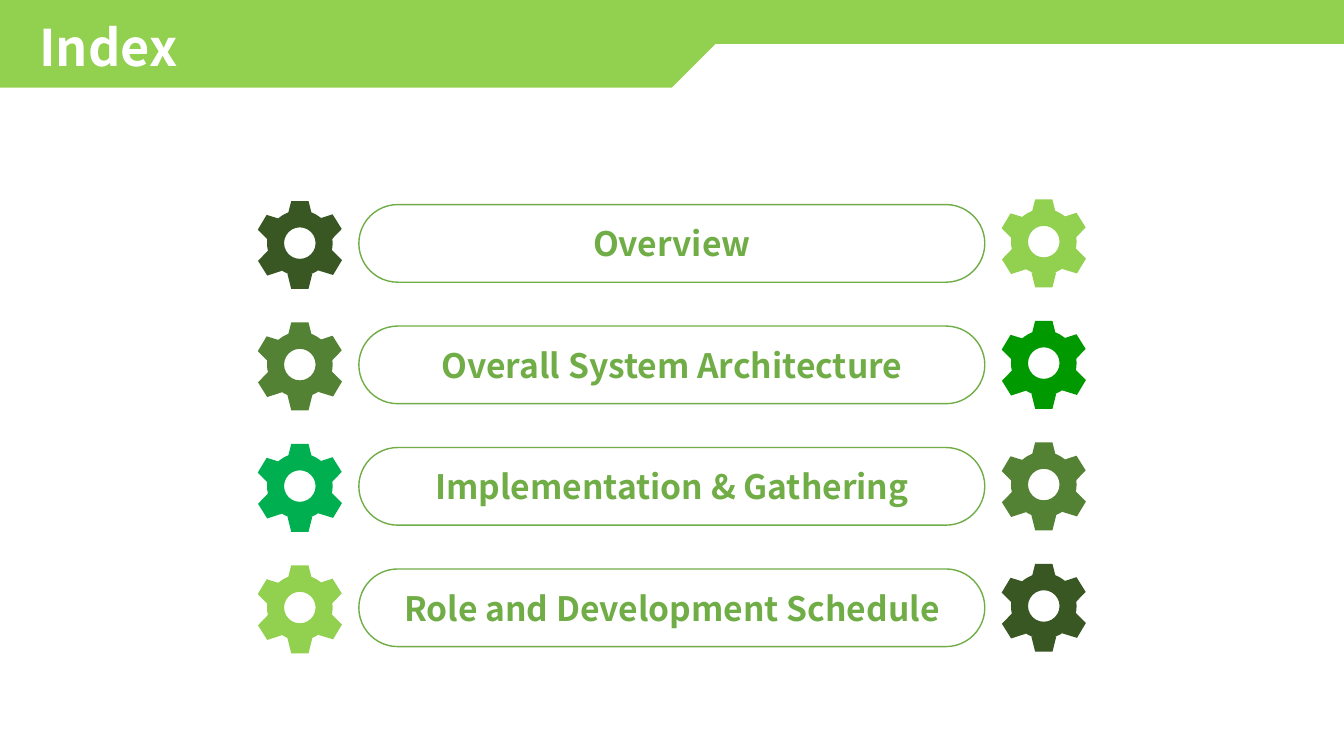
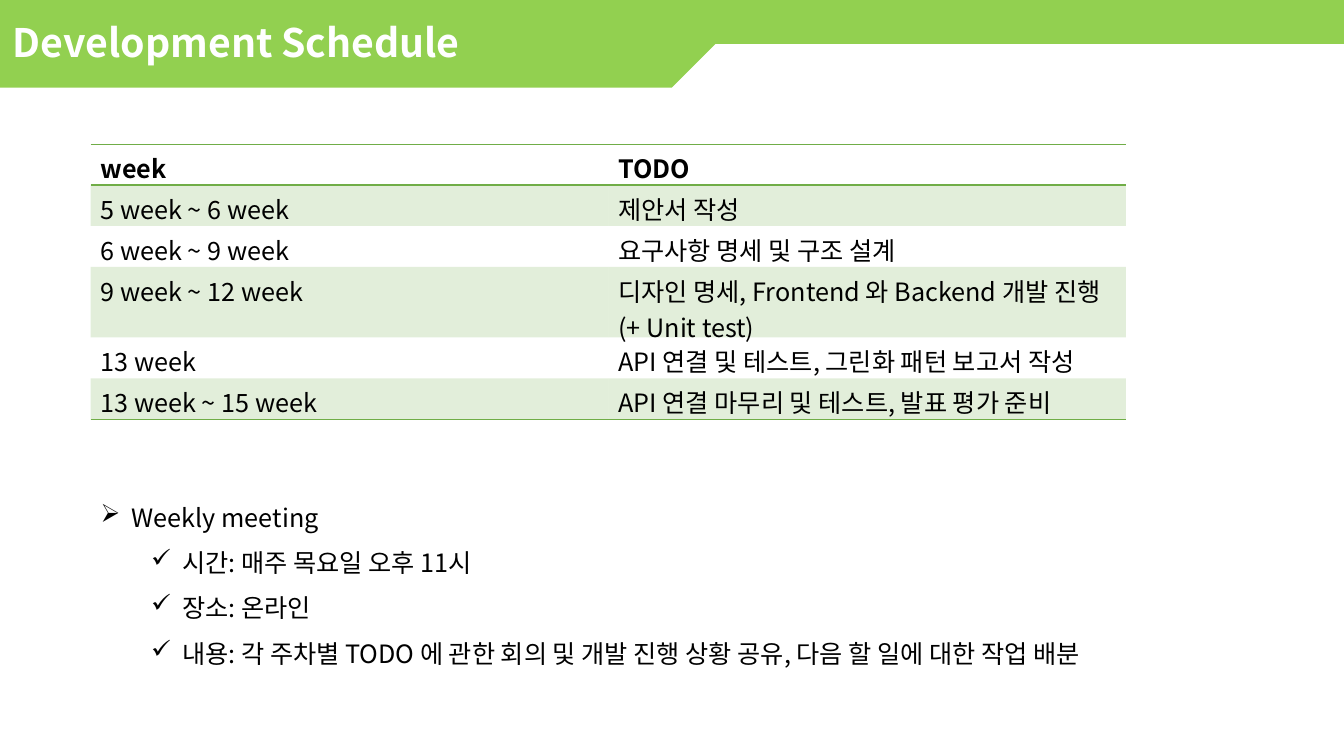
import math
from dataclasses import dataclass

import pptx
import pptx.dml.color
import pptx.enum.shapes
import pptx.enum.text
import pptx.oxml
import pptx.oxml.ns
import pptx.util

SHAPE = pptx.enum.shapes.MSO_SHAPE
ALIGN = pptx.enum.text.PP_ALIGN
ANCHOR = pptx.enum.text.MSO_ANCHOR
COLUMNS, ROWS = 133.33, 75


@dataclass(frozen=True)
class Theme:
    """Colours, font and type sizes shared by the slides."""
    font: str = "Noto Sans CJK KR"
    band: str = "92D050"
    accent: str = "70AD47"
    forest: str = "385723"
    moss: str = "548235"
    leaf: str = "009900"
    emerald: str = "00B050"
    white: str = "FFFFFF"
    ink: str = "000000"
    index_title: int = 36
    title: int = 28
    entry: int = 24
    body: int = 18


THEME = Theme()

CHAPTERS = [
    ("Overview", THEME.forest, THEME.band),
    ("Overall System Architecture", THEME.moss, THEME.leaf),
    ("Implementation & Gathering", THEME.emerald, THEME.moss),
    ("Role and Development Schedule", THEME.band, THEME.forest),
]

SCHEDULE = [
    ("week", "TODO"),
    ("5 week ~ 6 week", "제안서 작성"),
    ("6 week ~ 9 week", "요구사항 명세 및 구조 설계"),
    ("9 week ~ 12 week", "디자인 명세, Frontend 와 Backend 개발 진행 (+ Unit test)"),
    ("13 week", "API 연결 및 테스트, 그린화 패턴 보고서 작성"),
    ("13 week ~ 15 week", "API 연결 마무리 및 테스트, 발표 평가 준비"),
]

MEETING = [
    (0, "Weekly meeting"),
    (1, "시간: 매주 목요일 오후 11시"),
    (1, "장소: 온라인"),
    (1, "내용: 각 주차별 TODO 에 관한 회의 및 개발 진행 상황 공유, 다음 할 일에 대한 작업 배분"),
]


def grid(count):
    """Turn grid columns or rows into a length."""
    return pptx.util.Inches(count / 10)


@dataclass(frozen=True)
class Box:
    """A region measured in grid columns and rows."""
    left: float
    top: float
    width: float
    height: float

    def within(self, left, top, width, height):
        """Return a box placed relative to this one."""
        return Box(self.left + left, self.top + top, width, height)

    def lengths(self):
        """Return left, top, width and height as lengths."""
        return [grid(side) for side in (self.left, self.top, self.width, self.height)]


def rgb(colour):
    """Return a colour object for a hex string."""
    return pptx.dml.color.RGBColor.from_string(colour)


def style_text(paragraph, size, colour, bold=False):
    """Apply the theme font, a size and a colour to the runs."""
    for run in paragraph.runs:
        run.font.size = pptx.util.Pt(size)
        run.font.bold = bold
        run.font.color.rgb = rgb(colour)
        run.font.name = THEME.font
        east_asian = pptx.oxml.parse_xml(
            f'<a:ea {pptx.oxml.ns.nsdecls("a")} typeface="{THEME.font}"/>')
        run.font._element.append(east_asian)


def add_filled(shapes, preset, box, colour, outline=None):
    """Add a flat preset shape with an optional outline."""
    shape = shapes.add_shape(preset, *box.lengths())
    shape.shadow.inherit = False
    shape.fill.solid()
    shape.fill.fore_color.rgb = rgb(colour)
    if outline:
        shape.line.color.rgb = rgb(outline)
        shape.line.width = pptx.util.Pt(1)
    else:
        shape.line.fill.background()
    return shape


def add_text_frame(slide, box):
    """Add a wrapping text box that grows with its text."""
    frame = slide.shapes.add_textbox(*box.lengths()).text_frame
    frame.word_wrap = True
    frame.auto_size = pptx.enum.text.MSO_AUTO_SIZE.SHAPE_TO_FIT_TEXT
    return frame


def add_header(slide, title, title_box, size):
    """Draw the stepped green band and its title."""
    tab = add_filled(slide.shapes, SHAPE.SNIP_1_RECTANGLE, Box(0, 0, 71, 8.7), THEME.band)
    tab.adjustments[0] = 0.5
    tab._element.spPr.xfrm.set("flipV", "1")
    add_filled(slide.shapes, SHAPE.RECTANGLE, Box(56.8, 0, COLUMNS - 56.8, 4.35), THEME.band)
    frame = add_text_frame(slide, title_box)
    frame.text = title
    style_text(frame.paragraphs[0], size, THEME.white, bold=True)


def add_gear(shapes, box, colour):
    """Draw a six-toothed gear centred in a box."""
    size = box.height
    centre_x, centre_y = box.width / 2, size / 2
    radius, tooth_width, tooth_height = 0.41 * size, 0.28 * size, 0.17 * size
    for angle in (0, 58, 121, 180, 238, 301):
        x = centre_x + radius * math.sin(math.radians(angle))
        y = centre_y - radius * math.cos(math.radians(angle))
        tooth = add_filled(
            shapes, SHAPE.TRAPEZOID,
            box.within(x - tooth_width / 2, y - tooth_height / 2, tooth_width, tooth_height),
            colour)
        tooth.rotation = angle
    hub = 0.74 * size
    ring = add_filled(
        shapes, SHAPE.DONUT,
        box.within(centre_x - hub / 2, centre_y - hub / 2 - 0.02 * size, hub, hub), colour)
    ring.adjustments[0] = 0.26


def add_chapter(slide, box, chapter, left_colour, right_colour):
    """Draw one index entry between two gears."""
    shapes = slide.shapes.add_group_shape().shapes
    gear_width = 8.6
    add_gear(shapes, box.within(0, 0, gear_width, box.height), left_colour)
    add_gear(shapes, box.within(box.width - gear_width, -0.15, gear_width, box.height),
             right_colour)
    pill = add_filled(shapes, SHAPE.ROUNDED_RECTANGLE, box.within(10.15, 0.4, 62.1, 7.7),
                      THEME.white, THEME.accent)
    pill.adjustments[0] = 0.5
    pill.text_frame.text = chapter
    pill.text_frame.vertical_anchor = ANCHOR.MIDDLE
    label = pill.text_frame.paragraphs[0]
    label.alignment = ALIGN.CENTER
    style_text(label, THEME.entry, THEME.accent, bold=True)


def add_rules(cell, sides):
    """Draw accent rules on the given sides of a cell."""
    properties = cell._tc.get_or_add_tcPr()
    for position, side in enumerate(sides):
        properties.insert(position, pptx.oxml.parse_xml(
            f'<a:ln{side} {pptx.oxml.ns.nsdecls("a")} w="12700"><a:solidFill>'
            f'<a:srgbClr val="{THEME.accent}"/></a:solidFill></a:ln{side}>'))


def add_tint(cell):
    """Fill a cell with the accent colour at 20% opacity."""
    cell.fill.solid()
    cell.fill.fore_color.rgb = rgb(THEME.accent)
    tint = cell._tc.tcPr.find(".//" + pptx.oxml.ns.qn("a:srgbClr"))
    tint.append(pptx.oxml.parse_xml(
        f'<a:alpha {pptx.oxml.ns.nsdecls("a")} val="20000"/>'))


def add_schedule(slide, box):
    """Draw the banded schedule table."""
    frame = slide.shapes.add_table(len(SCHEDULE), len(SCHEDULE[0]), *box.lengths())
    table = frame.table
    table.horz_banding = False
    table._tbl.tblPr.find(pptx.oxml.ns.qn("a:tableStyleId")).text = (
        "{2D5ABB26-0587-4C30-8999-92F81FD0307C}")
    last = len(SCHEDULE) - 1
    for row, entries in enumerate(SCHEDULE):
        for column, entry in enumerate(entries):
            cell = table.cell(row, column)
            cell.text = entry
            style_text(cell.text_frame.paragraphs[0], THEME.body, THEME.ink, bold=row == 0)
            if row % 2:
                add_tint(cell)
            else:
                cell.fill.background()
            add_rules(cell, {0: "TB", last: "B"}.get(row, ""))


def add_meeting(slide, box):
    """Write the bulleted meeting notes."""
    frame = add_text_frame(slide, box)
    frame.text = "\n".join(note for _, note in MEETING)
    for paragraph, (level, _) in zip(frame.paragraphs, MEETING):
        paragraph.level = level
        paragraph.line_spacing = 1.5
        style_text(paragraph, THEME.body, THEME.ink)
        properties = paragraph._p.get_or_add_pPr()
        properties.set("marL", str(grid(3.1 + 5 * level)))
        properties.set("indent", str(-grid(3.1)))
        properties.append(pptx.oxml.parse_xml(
            f'<a:buChar {pptx.oxml.ns.nsdecls("a")} char="{"➢✓"[level]}"/>'))


def build_index(slide):
    """Build the index slide."""
    add_header(slide, "Index", Box(2.9, 1.1, 65, 7.1), THEME.index_title)
    entries = Box(25.45, 19.9, 82.4, 8.8)
    pitch = 12.05
    for row, chapter in enumerate(CHAPTERS):
        add_chapter(slide, entries.within(0, row * pitch, entries.width, entries.height),
                    *chapter)


def build_schedule(slide):
    """Build the development schedule slide."""
    add_header(slide, "Development Schedule", Box(0.3, 1.3, 72.2, 5.7), THEME.title)
    content = Box(9, 14.3, 102.7, 56.6)
    add_schedule(slide, content.within(0, 0, content.width, 4.06 * len(SCHEDULE)))
    add_meeting(slide, content.within(0, 33.5, content.width, 23.1))


def main():
    """Build and save the presentation."""
    deck = pptx.Presentation()
    deck.slide_width, deck.slide_height = grid(COLUMNS), grid(ROWS)
    for build in (build_index, build_schedule):
        build(deck.slides.add_slide(deck.slide_layouts[6]))
    deck.save("out.pptx")


if __name__ == "__main__":
    main()
